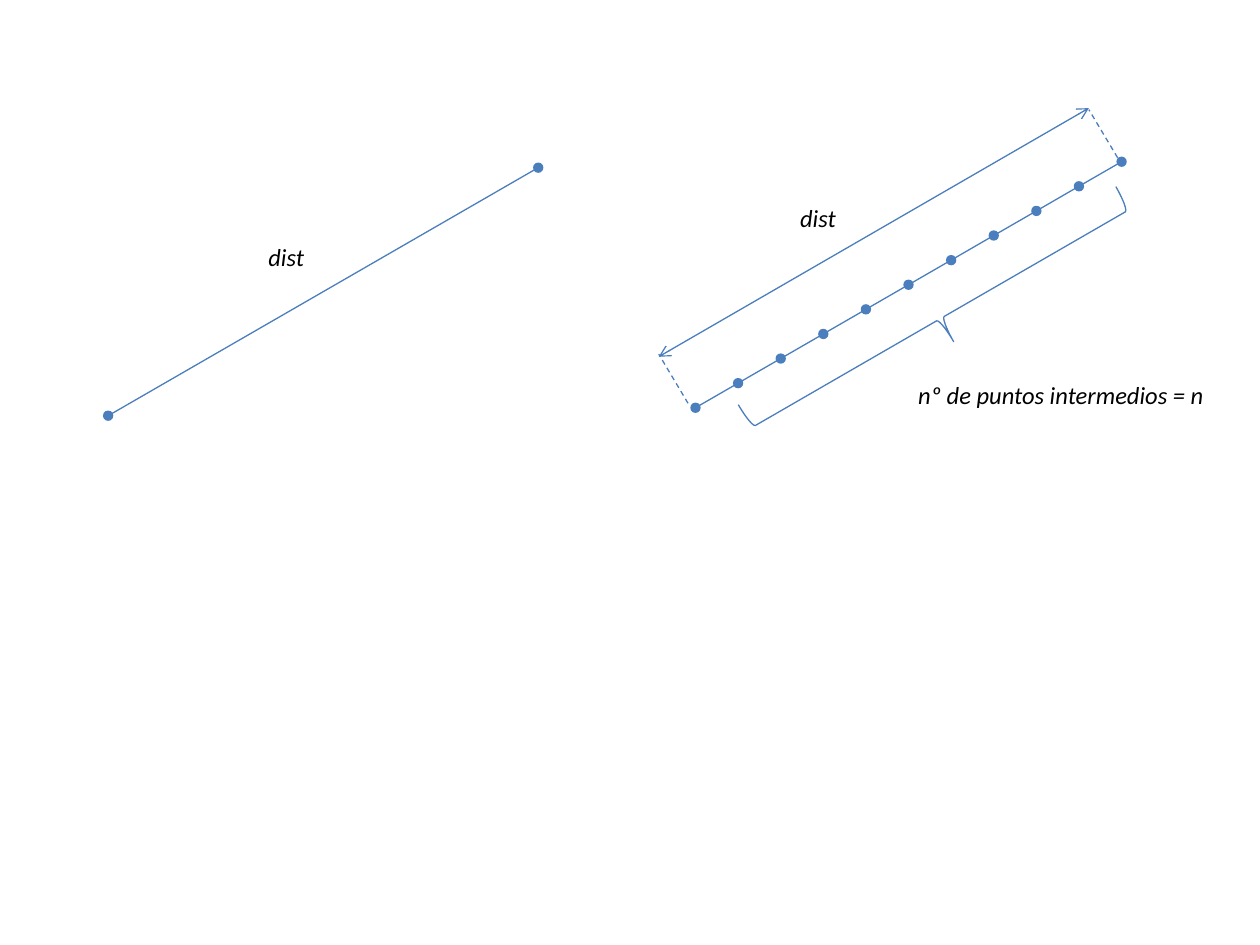
import pptx
import pptx.dml.color
import pptx.enum.dml
import pptx.enum.shapes
import pptx.enum.text
import pptx.oxml.ns
import pptx.oxml.xmlchemy
import pptx.util
import lxml.etree
from dataclasses import dataclass


@dataclass
class Theme:
    stroke = pptx.dml.color.RGBColor(0x4B, 0x7E, 0xBC)
    ink = pptx.dml.color.RGBColor(0, 0, 0)
    font = "Calibri"
    text_size = pptx.util.Pt(14)
    line_width = pptx.util.Pt(0.75)


Cm = pptx.util.Cm
qn = pptx.oxml.ns.qn
theme = Theme()


def add_line(shapes, start, end, head=None, tail=None, dashed=False):
    points = [Cm(value) for value in (*start, *end)]
    connector = shapes.add_connector(pptx.enum.shapes.MSO_CONNECTOR.STRAIGHT, *points)
    connector.line.color.rgb = theme.stroke
    connector.line.width = theme.line_width
    if dashed:
        connector.line.dash_style = pptx.enum.dml.MSO_LINE.DASH
    properties = connector._element.spPr
    outline = properties.find(qn("a:ln"))
    for tag, kind in (("a:headEnd", head), ("a:tailEnd", tail)):
        if kind:
            lxml.etree.SubElement(outline, qn(tag), type=kind)
    lxml.etree.SubElement(properties, qn("a:effectLst"))


def add_label(shapes, text, left, top, width):
    label = shapes.add_textbox(Cm(left), Cm(top), Cm(width), Cm(0.86))
    frame = label.text_frame
    frame.word_wrap = True
    frame.auto_size = pptx.enum.text.MSO_AUTO_SIZE.SHAPE_TO_FIT_TEXT
    run = frame.paragraphs[0].add_run()
    run.text = text
    run.font.name = theme.font
    run.font.size = theme.text_size
    run.font.italic = True
    run.font.color.rgb = theme.ink


presentation = pptx.Presentation()
presentation.slide_width = Cm(25.4)
presentation.slide_height = Cm(19.05)
slide = presentation.slides.add_slide(presentation.slide_layouts[6])
shapes = slide.shapes

add_line(shapes, (2.18, 8.38), (10.85, 3.38), head="oval", tail="oval")
add_label(shapes, "dist", 5.16, 4.75, 1.6)
add_label(shapes, "nº de puntos intermedios = n", 18.26, 7.54, 6.76)

segment_count = 10
chain_left, chain_bottom = 14.02, 8.22
chain_right, chain_top = 22.61, 3.26
step_x = (chain_right - chain_left) / segment_count
step_y = (chain_top - chain_bottom) / segment_count
points = [(chain_left + step_x * index, chain_bottom + step_y * index)
          for index in range(segment_count + 1)]
chain = shapes.add_group_shape()
for start, end in zip(points, points[1:]):
    tail = "oval" if end == points[-1] else None
    add_line(chain.shapes, start, end, head="oval", tail=tail)

brace = shapes.add_shape(
    pptx.enum.shapes.MSO_SHAPE.RIGHT_BRACE, Cm(18.42), Cm(2.03), Cm(1.07), Cm(8.79))
brace.rotation = 60
brace.shadow.inherit = False
brace.fill.background()
brace.line.color.rgb = theme.stroke
brace.line.width = theme.line_width

add_label(shapes, "dist", 15.88, 3.96, 1.6)
add_line(shapes, (13.28, 7.19), (21.95, 2.18), head="arrow", tail="arrow")
add_line(shapes, (22.53, 3.18), (21.95, 2.21), dashed=True)
add_line(shapes, (13.87, 8.13), (13.28, 7.14), dashed=True)

presentation.save("out.pptx")
